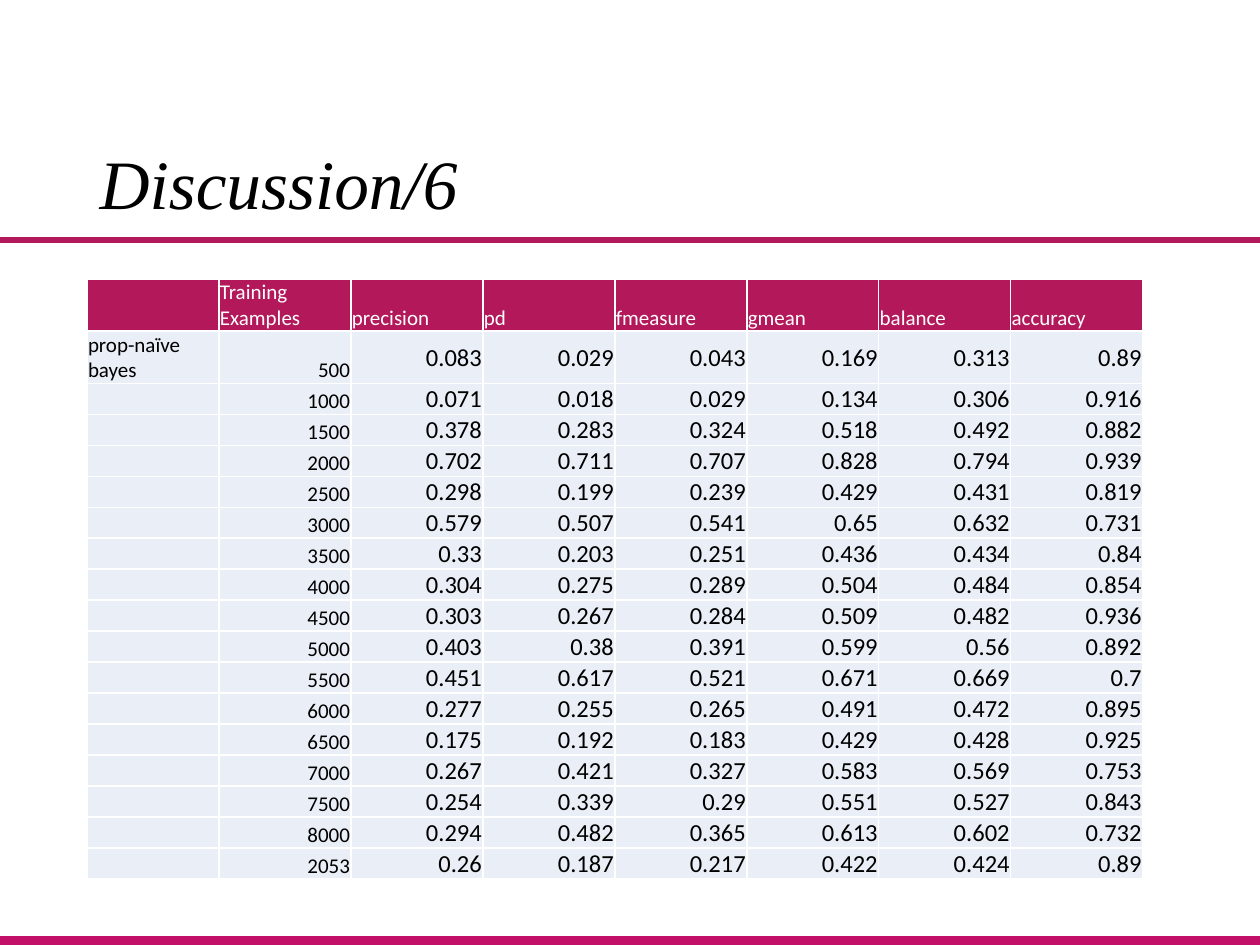
import pptx
import pptx.util
import pptx.dml.color
import pptx.enum.shapes
import pptx.enum.text
import pptx.oxml
import pptx.oxml.ns

COLORS = {"bar": "C21069", "accent": "B3195A", "band": "EAEFF7",
          "white": "FFFFFF", "black": "000000"}
ALIGN = pptx.enum.text.PP_ALIGN
ANCHOR = pptx.enum.text.MSO_ANCHOR

HEADER = ["", "Training Examples", "precision", "pd", "fmeasure", "gmean",
          "balance", "accuracy"]
RESULTS = """
500 0.083 0.029 0.043 0.169 0.313 0.89
1000 0.071 0.018 0.029 0.134 0.306 0.916
1500 0.378 0.283 0.324 0.518 0.492 0.882
2000 0.702 0.711 0.707 0.828 0.794 0.939
2500 0.298 0.199 0.239 0.429 0.431 0.819
3000 0.579 0.507 0.541 0.65 0.632 0.731
3500 0.33 0.203 0.251 0.436 0.434 0.84
4000 0.304 0.275 0.289 0.504 0.484 0.854
4500 0.303 0.267 0.284 0.509 0.482 0.936
5000 0.403 0.38 0.391 0.599 0.56 0.892
5500 0.451 0.617 0.521 0.671 0.669 0.7
6000 0.277 0.255 0.265 0.491 0.472 0.895
6500 0.175 0.192 0.183 0.429 0.428 0.925
7000 0.267 0.421 0.327 0.583 0.569 0.753
7500 0.254 0.339 0.29 0.551 0.527 0.843
8000 0.294 0.482 0.365 0.613 0.602 0.732
2053 0.26 0.187 0.217 0.422 0.424 0.89
"""


def px(n):
    return pptx.util.Emu(round(n * 914400 / 126))


def rgb(name):
    return pptx.dml.color.RGBColor.from_string(COLORS[name])


def set_font(p, name, size, color):
    p.font.name = name
    p.font.size = pptx.util.Pt(size)
    p.font.color.rgb = rgb(color)


def add_bar(s, box, color):
    sp = s.shapes.add_shape(pptx.enum.shapes.MSO_SHAPE.RECTANGLE, *map(px, box))
    sp.shadow.inherit = False
    sp.fill.solid()
    sp.fill.fore_color.rgb = rgb(color)
    sp.line.fill.background()


def set_title(s, box, text):
    sp = s.shapes.title
    sp.left, sp.top, sp.width, sp.height = map(px, box)
    tf = sp.text_frame
    tf.text = text
    tf.auto_size = pptx.enum.text.MSO_AUTO_SIZE.NONE
    tf.vertical_anchor = ANCHOR.MIDDLE
    p = tf.paragraphs[0]
    p.alignment = ALIGN.LEFT
    p.line_spacing = 0.9
    set_font(p, "Times New Roman", 39.6, "black")
    p.font.italic = True


def set_borders(cell, color, width):
    tcPr = cell._tc.get_or_add_tcPr()
    for i, side in enumerate("LRTB"):
        tcPr.insert(i, pptx.oxml.parse_xml(
            f'<a:ln{side} {pptx.oxml.ns.nsdecls("a")} w="{pptx.util.Pt(width)}">'
            f'<a:solidFill><a:srgbClr val="{COLORS[color]}"/></a:solidFill>'
            f'</a:ln{side}>'))


def fill_cell(cell, text, row, col):
    header, score = row == 0, row > 0 and col > 1
    size = 14 if score else 12
    cell.text = text
    cell.margin_left = cell.margin_right = cell.margin_top = px(1)
    cell.margin_bottom = 0
    cell.vertical_anchor = ANCHOR.MIDDLE if score else ANCHOR.BOTTOM
    cell.fill.solid()
    cell.fill.fore_color.rgb = rgb("accent" if header else "band")
    set_borders(cell, "white", 1)
    p = cell.text_frame.paragraphs[0]
    p.alignment = ALIGN.LEFT if header or col == 0 else ALIGN.RIGHT
    set_font(p, "Calibri", size, "white" if header else "black")
    if not text:  # keeps empty cells from stretching their row
        p._p.get_or_add_endParaRPr().set("sz", str(size * 100))


def add_results(s, box, rows):
    tall, short = 52, 31
    n_cols = len(rows[0])
    table = s.shapes.add_table(len(rows), n_cols, *map(px, box)).table
    table.first_row = table.horz_banding = False
    for column in table.columns:
        column.width = px(box[2] / n_cols)
    for i, values in enumerate(rows):
        table.rows[i].height = px(tall if i < 2 else short)
        for j, text in enumerate(values):
            fill_cell(table.cell(i, j), text, i, j)


prs = pptx.Presentation()
prs.slide_width, prs.slide_height = px(1260), px(945)
s = prs.slides.add_slide(prs.slide_layouts[5])

# Bars
add_bar(s, (-1, 936, 1261, 9), "bar")
add_bar(s, (-1, 237, 1261, 6), "accent")

# Title
set_title(s, (87, 142, 1086, 91), "Discussion/6")

# Results table
rows = [[""] + line.split() for line in RESULTS.strip().splitlines()]
rows[0][0] = "prop-naïve bayes"
add_results(s, (87, 279, 1056, 600), [HEADER] + rows)

prs.save("out.pptx")
